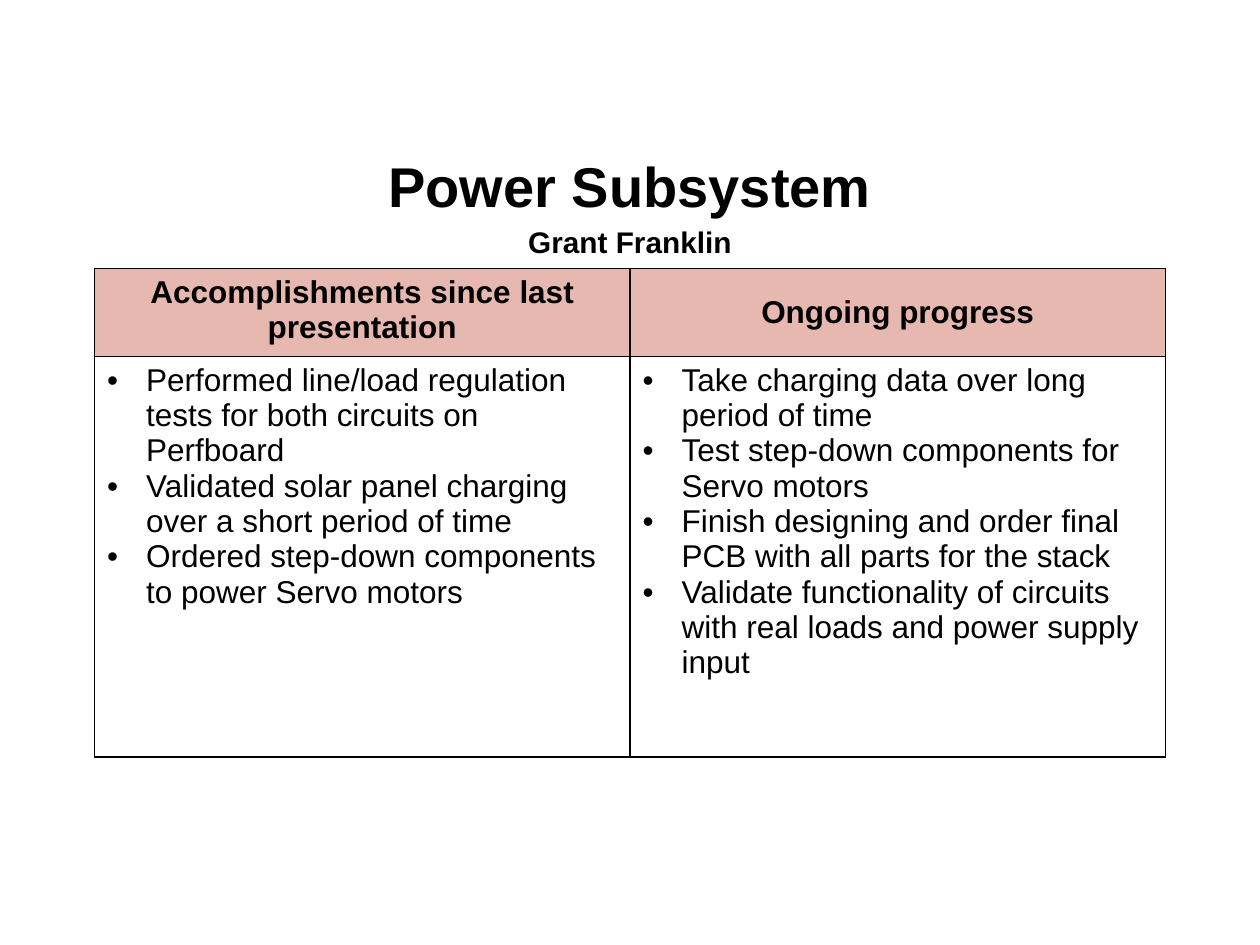
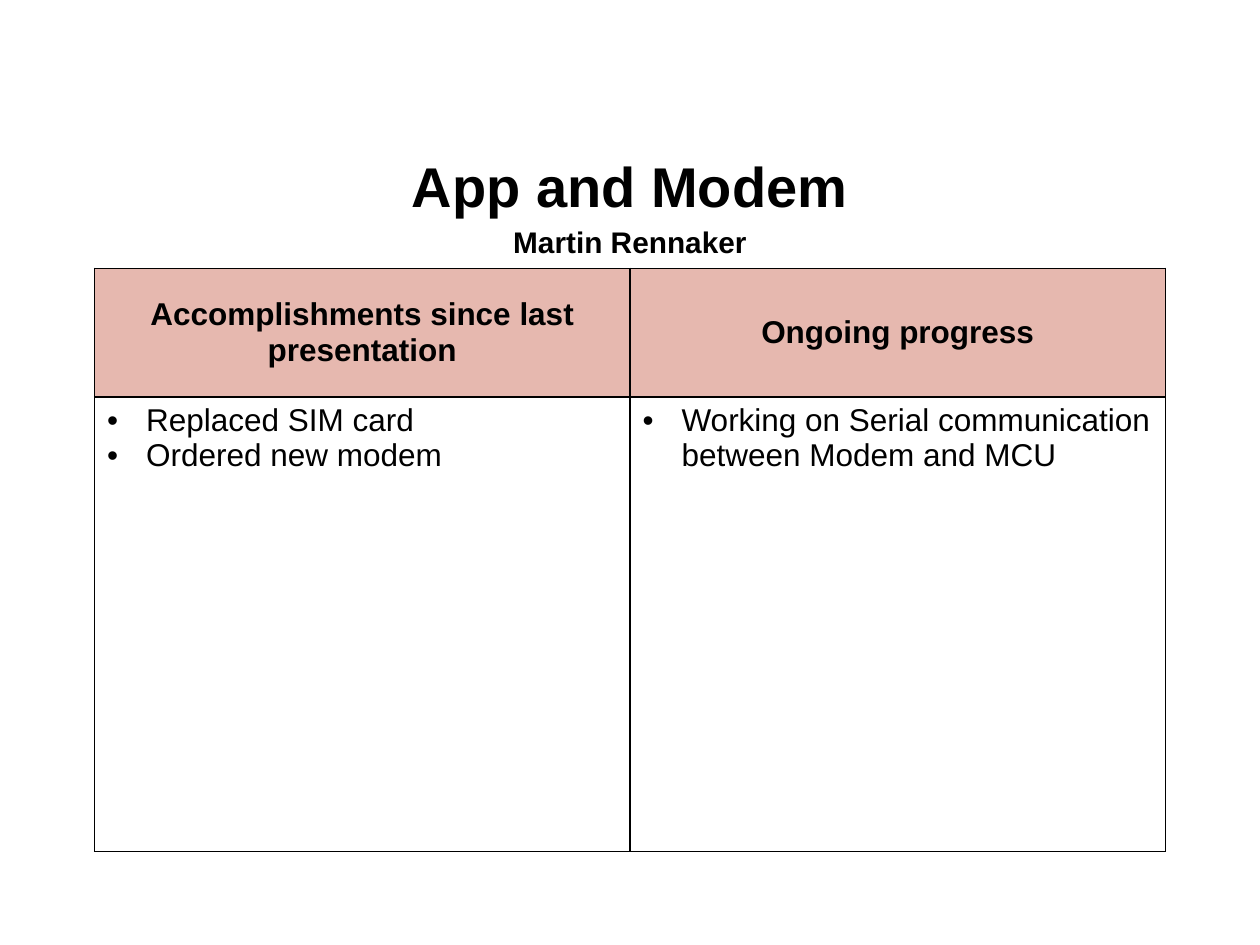
from dataclasses import dataclass

from lxml.etree import SubElement
from pptx import Presentation
from pptx.dml.color import RGBColor
from pptx.enum.text import MSO_ANCHOR as Anchor, MSO_AUTO_SIZE as AutoSize, PP_ALIGN as Align
from pptx.oxml.ns import qn
from pptx.util import Inches, Pt


@dataclass(frozen=True)
class Theme:
    """Colours, font and type sizes shared by the slides."""
    font: str = "Arial"
    ink: str = "000000"
    header_fill: str = "E6B8AF"
    title_size: int = 32
    presenter_size: int = 17
    table_size: int = 18
    border: float = 1
    bullet_indent: float = 0.31


THEME = Theme()
HEADERS = ("Accomplishments since last presentation", "Ongoing progress")


def style_paragraph(p, size, bold, align=Align.LEFT):
    """Align a paragraph and format its runs."""
    p.alignment = align
    for r in p.runs:
        r.font.name = THEME.font
        r.font.size = Pt(size)
        r.font.bold = bold
        r.font.color.rgb = RGBColor.from_string(THEME.ink)


def add_bullet(p):
    """Give a paragraph a round bullet with a hanging indent."""
    pPr = p._p.get_or_add_pPr()
    indent = Inches(THEME.bullet_indent)
    pPr.set("marL", str(indent))
    pPr.set("indent", str(-indent))
    SubElement(pPr, qn("a:buFont"), typeface=THEME.font)
    SubElement(pPr, qn("a:buChar"), char="•")


def add_borders(cell):
    """Draw a solid line on all four sides of a cell."""
    tcPr = cell._tc.get_or_add_tcPr()
    for i, side in enumerate(("a:lnL", "a:lnR", "a:lnT", "a:lnB")):
        ln = tcPr.makeelement(qn(side), {"w": str(Pt(THEME.border))})
        fill = SubElement(ln, qn("a:solidFill"))
        SubElement(fill, qn("a:srgbClr"), val=THEME.ink)
        tcPr.insert(i, ln)


def set_title(s, title, presenter):
    """Fill the title placeholder with the subsystem and its presenter."""
    sp = s.shapes.title
    sp.left, sp.top, sp.width, sp.height = map(Inches, (0.5, 1.15, 9, 0.88))
    tf = sp.text_frame
    tf.text = f"{title}\n{presenter}"
    tf.word_wrap = True
    tf.auto_size = AutoSize.NONE
    tf.vertical_anchor = Anchor.MIDDLE
    for p, size in zip(tf.paragraphs, (THEME.title_size, THEME.presenter_size)):
        style_paragraph(p, size, True, Align.CENTER)
        p.line_spacing = 1.15
        p.space_before = Pt(0)


def fill_header(cell, text, anchor):
    """Write a shaded column heading."""
    cell.text_frame.text = text
    cell.vertical_anchor = anchor
    cell.fill.solid()
    cell.fill.fore_color.rgb = RGBColor.from_string(THEME.header_fill)
    style_paragraph(cell.text_frame.paragraphs[0], THEME.table_size, True, Align.CENTER)
    add_borders(cell)


def fill_list(cell, items):
    """Write a bulleted list in an unshaded cell."""
    cell.text_frame.text = "\n".join(items)
    cell.vertical_anchor = Anchor.TOP
    cell.fill.background()
    for p in cell.text_frame.paragraphs:
        style_paragraph(p, THEME.table_size, False)
        add_bullet(p)
    add_borders(cell)


def add_status_table(s, row_heights, lists, first_anchor):
    """Add the table of accomplishments and ongoing progress."""
    frame = s.shapes.add_table(2, 2, Inches(0.75), Inches(2.13),
                               Inches(8.5), Inches(sum(row_heights)))
    table = frame.table
    table.first_row = table.horz_banding = False
    for row, height in zip(table.rows, row_heights):
        row.height = Inches(height)
    anchors = (first_anchor, Anchor.MIDDLE)
    for col, (header, anchor, items) in enumerate(zip(HEADERS, anchors, lists)):
        fill_header(table.cell(0, col), header, anchor)
        fill_list(table.cell(1, col), items)


def add_status_slide(prs, title, presenter, row_heights, lists, first_anchor=Anchor.MIDDLE):
    """Add one subsystem status slide."""
    s = prs.slides.add_slide(prs.slide_layouts[5])
    set_title(s, title, presenter)
    add_status_table(s, row_heights, lists, first_anchor)


def main():
    """Build and save the presentation."""
    prs = Presentation()
    prs.slide_width, prs.slide_height = Inches(10), Inches(7.5)
    add_status_slide(
        prs, "Power Subsystem", "Grant Franklin", (0.7, 3.18),
        (("Performed line/load regulation tests for both circuits on Perfboard",
          "Validated solar panel charging over a short period of time",
          "Ordered step-down components to power Servo motors"),
         ("Take charging data over long period of time",
          "Test step-down components for Servo motors",
          "Finish designing and order final PCB with all parts for the stack",
          "Validate functionality of circuits with real loads and power supply input")),
        first_anchor=Anchor.TOP)
    add_status_slide(
        prs, "App and Modem", "Martin Rennaker", (1.02, 3.61),
        (("Replaced SIM card", "Ordered new modem"),
         ("Working on Serial communication between Modem and MCU",)))
    prs.save("out.pptx")


if __name__ == "__main__":
    main()
